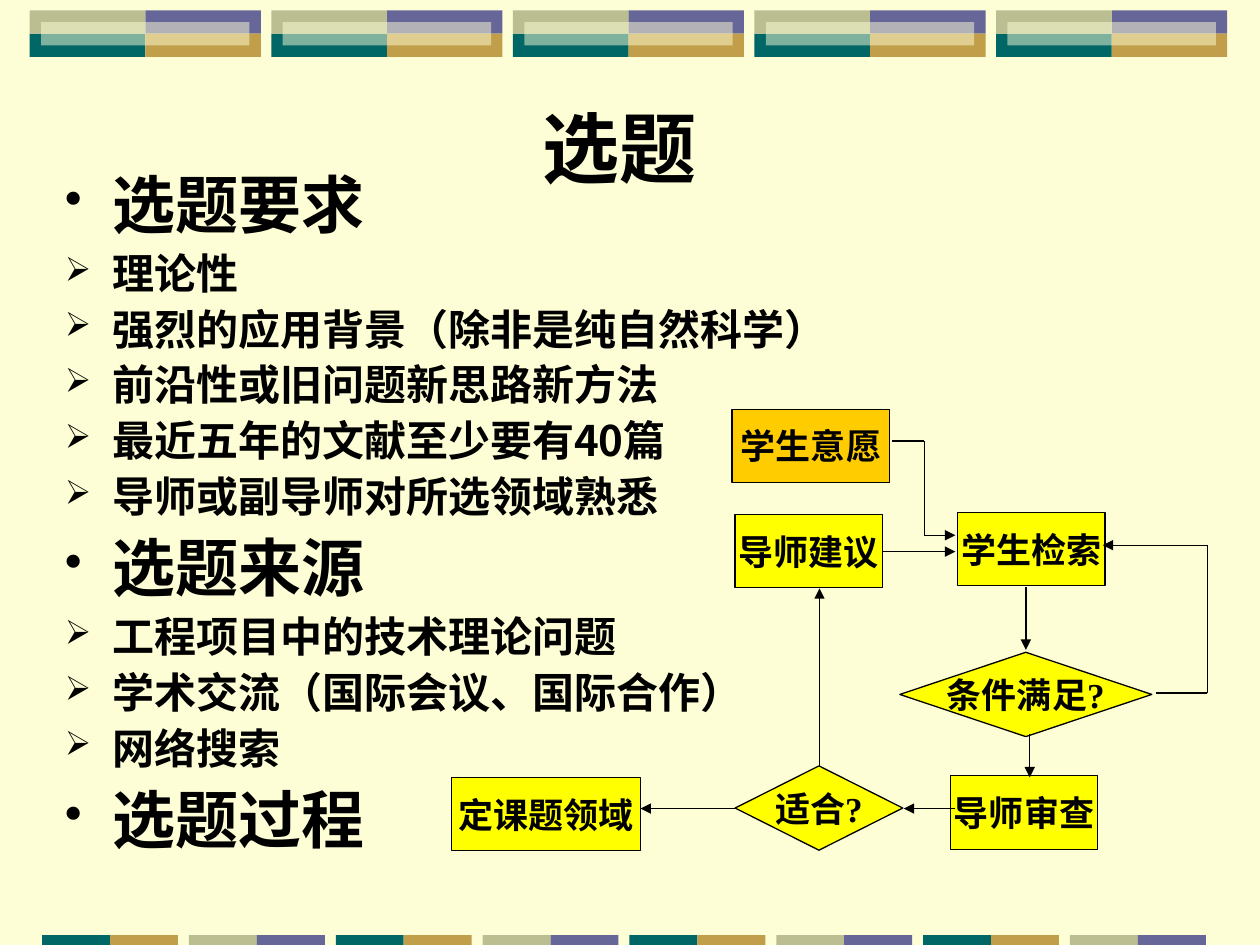
from lxml import etree
from pptx import Presentation
from pptx.dml.color import RGBColor
from pptx.enum.shapes import MSO_CONNECTOR, MSO_SHAPE
from pptx.enum.text import MSO_ANCHOR, PP_ALIGN
from pptx.oxml.ns import qn
from pptx.util import Cm, Pt

RECTANGLE = MSO_SHAPE.RECTANGLE
DIAMOND = MSO_SHAPE.DIAMOND
STRAIGHT = MSO_CONNECTOR.STRAIGHT
MIDDLE = MSO_ANCHOR.MIDDLE
TOP = MSO_ANCHOR.TOP
LEFT = PP_ALIGN.LEFT
CENTER = PP_ALIGN.CENTER

SANS = "Noto Sans CJK SC"
SERIF = "Times New Roman"
BLACK = "000000"
CREAM = "FEFED6"
PURPLE = "666699"
GOLD = "C09E4A"
TEAL = "006666"
OLIVE = "BABE90"
YELLOW = "FFFF00"
ORANGE = "FFCC00"

OUTLINE = [
    ("选题要求", [
        "理论性",
        "强烈的应用背景（除非是纯自然科学）",
        "前沿性或旧问题新思路新方法",
        "最近五年的文献至少要有40篇",
        "导师或副导师对所选领域熟悉",
    ]),
    ("选题来源", [
        "工程项目中的技术理论问题",
        "学术交流（国际会议、国际合作）",
        "网络搜索",
    ]),
    ("选题过程", []),
]

STEPS = [
    ("学生意愿", RECTANGLE, ORANGE, 5.66, 0, 3.18, 1.48),
    ("导师建议", RECTANGLE, YELLOW, 5.72, 2.12, 2.97, 1.48),
    ("学生检索", RECTANGLE, YELLOW, 10.21, 2.08, 2.97, 1.48),
    ("条件满足?", DIAMOND, YELLOW, 9.04, 4.9, 5.08, 1.7),
    ("导师审查", RECTANGLE, YELLOW, 10.06, 7.39, 2.97, 1.48),
    ("适合?", DIAMOND, YELLOW, 5.72, 7.19, 3.38, 1.7),
    ("定课题领域", RECTANGLE, YELLOW, 0, 7.42, 3.81, 1.48),
]

ROUTES = [
    [(8.89, 0.64), (9.53, 0.64), (9.53, 2.54), (10.16, 2.54)],
    [(8.69, 2.87), (10.16, 2.87)],
    [(11.58, 3.58), (11.58, 4.85)],
    [(14.2, 5.72), (15.24, 5.72), (15.24, 2.74), (13.13, 2.74)],
    [(11.66, 6.55), (11.66, 7.42)],
    [(10.16, 8.05), (9.12, 8.05)],
    [(7.42, 7.19), (7.42, 3.61)],
    [(5.72, 8.05), (3.81, 8.05)],
]


def color(value):
    return RGBColor.from_string(value)


def add_node(parent, tag, **attributes):
    node = etree.SubElement(parent, qn(tag))
    for name, value in attributes.items():
        node.set(name, str(value))
    return node


def add_block(slide, kind, left, top, width, height, fill, line=None, alpha=None):
    shape = slide.shapes.add_shape(kind, Cm(left), Cm(top), Cm(width), Cm(height))
    shape.shadow.inherit = False
    shape.fill.solid()
    shape.fill.fore_color.rgb = color(fill)
    if alpha is not None:
        fill_color = shape.fill._xPr.find(qn("a:solidFill"))[0]
        add_node(fill_color, "a:alpha", val=alpha * 1000)
    if line:
        shape.line.color.rgb = color(line)
        shape.line.width = Pt(0.75)
    else:
        shape.line.fill.background()
    return shape


def add_text(frame, text, size, font=SANS, align=CENTER, anchor=MIDDLE, wrap=True,
             bullet=None, before=0, spacing=1.0):
    frame.word_wrap = wrap
    frame.vertical_anchor = anchor
    paragraph = frame.paragraphs[0]
    if paragraph.runs:
        paragraph = frame.add_paragraph()
    paragraph.alignment = align
    paragraph.line_spacing = spacing
    paragraph.space_before = Pt(before)
    run = paragraph.add_run()
    run.text = text
    run.font.size = Pt(size)
    run.font.bold = True
    run.font.color.rgb = color(BLACK)
    run.font.name = font
    add_node(run.font._element, "a:ea", typeface=SANS)
    if bullet:
        properties = paragraph._p.get_or_add_pPr()
        properties.set("marL", str(Cm(0.95)))
        properties.set("indent", str(-Cm(0.95)))
        add_node(add_node(properties, "a:buClr"), "a:srgbClr", val=BLACK)
        add_node(properties, "a:buSzPct", val=80000)
        add_node(properties, "a:buChar", char=bullet)


def add_line(slide, start, end, arrow):
    line = slide.shapes.add_connector(STRAIGHT, *map(Cm, start + end))
    line.line.color.rgb = color(BLACK)
    line.line.width = Pt(0.75)
    if arrow:
        add_node(line.line._get_or_add_ln(), "a:tailEnd", type="triangle")
    add_node(line._element.spPr, "a:effectLst")


def add_top_band(slide, left, top, count=5, pitch=4.87, width=2.33, height=0.47):
    tiles = [(1, 0, PURPLE), (1, 1, GOLD), (0, 1, TEAL), (0, 0, OLIVE)]
    for index in range(count):
        start = left + index * pitch
        for column, row, fill in tiles:
            add_block(slide, RECTANGLE, start + column * width, top + row * height,
                      width, height, fill)
        add_block(slide, RECTANGLE, start + 0.23, top + height / 2,
                  2 * width - 0.46, height, CREAM, alpha=50)


def add_bottom_band(slide, left, top, count=8, pitch=2.96, width=1.37, height=0.2):
    pairs = [(TEAL, GOLD), (OLIVE, PURPLE)]
    for index in range(count):
        for column, fill in enumerate(pairs[index % 2]):
            add_block(slide, RECTANGLE, left + index * pitch + column * width, top,
                      width, height, fill)


def add_title(slide, left, top, width, height):
    box = slide.shapes.add_textbox(Cm(left), Cm(top), Cm(width), Cm(height))
    add_text(box.text_frame, "选题", 44)


def add_outline(slide, left, top, width, height):
    box = slide.shapes.add_textbox(Cm(left), Cm(top), Cm(width), Cm(height))
    layout = {"align": LEFT, "anchor": TOP, "spacing": 0.9}
    for heading, points in OUTLINE:
        add_text(box.text_frame, heading, 36, bullet="•", before=9, **layout)
        for point in points:
            add_text(box.text_frame, point, 24, bullet="➢", before=6, **layout)


def add_flow(slide, left, top):
    for text, kind, fill, x, y, width, height in STEPS:
        shape = add_block(slide, kind, left + x, top + y, width, height, fill, line=BLACK)
        add_text(shape.text_frame, text, 20, font=SERIF, wrap=False)
    for route in ROUTES:
        points = [(left + x, top + y) for x, y in route]
        for start, end in zip(points, points[1:]):
            add_line(slide, start, end, arrow=end == points[-1])


def main():
    presentation = Presentation()
    presentation.slide_width = Cm(25.4)
    presentation.slide_height = Cm(19.05)
    slide = presentation.slides.add_slide(presentation.slide_layouts[6])
    slide.background.fill.solid()
    slide.background.fill.fore_color.rgb = color(CREAM)
    add_top_band(slide, 0.6, 0.21)
    add_bottom_band(slide, 0.85, 18.85)
    add_title(slide, 1.7, 2.11, 21.59, 1.68)
    add_outline(slide, 1.06, 3.39, 16.93, 14.82)
    add_flow(slide, 9.1, 8.25)
    presentation.save("out.pptx")


if __name__ == "__main__":
    main()
